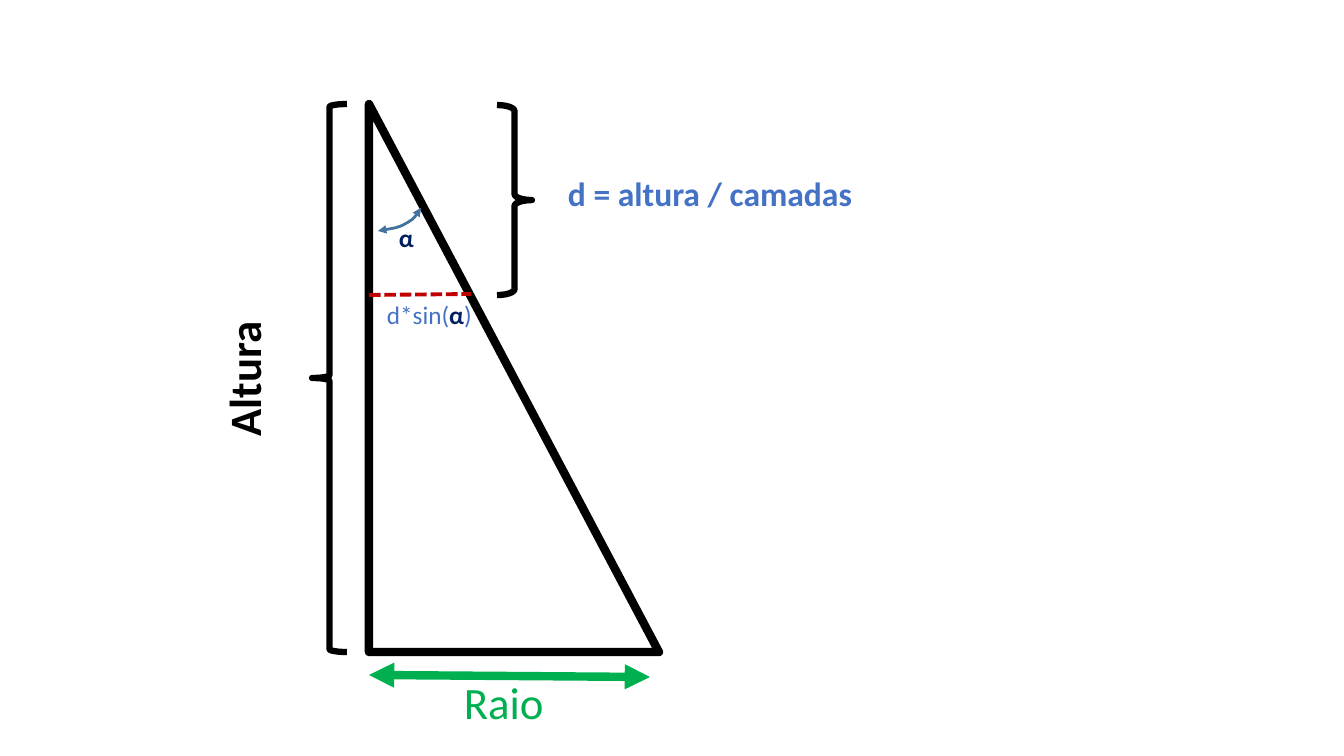
from pptx import Presentation
from pptx.dml.color import RGBColor
from pptx.enum.dml import MSO_LINE_DASH_STYLE as Dash
from pptx.enum.shapes import MSO_CONNECTOR as Connector, MSO_SHAPE as Shape
from pptx.enum.text import MSO_AUTO_SIZE as AutoSize
from pptx.oxml.ns import qn
from pptx.util import Emu, Pt
from lxml.etree import SubElement

SCALE = 914400 / 100.8
COLORS = {"black": "000000", "white": "FFFFFF", "green": "00B050",
          "blue": "4472C4", "navy": "002060", "red": "C00000", "steel": "43739E"}


def px(*lengths):
    """Turn pixels into EMU."""
    return [Emu(round(length * SCALE)) for length in lengths]


def rgb(name):
    """Look up a colour by name."""
    return RGBColor.from_string(COLORS[name])


def style_line(line, color, width, arrows=False):
    """Colour a line, set its width and optionally point both ends."""
    line.color.rgb = rgb(color)
    line.width = Pt(width)
    if arrows:
        for end in ("a:headEnd", "a:tailEnd"):
            SubElement(line._get_or_add_ln(), qn(end), type="triangle")


def add_outline(slide, kind, box, width, fill=None):
    """Add a black outlined preset shape in the box."""
    outline = slide.shapes.add_shape(kind, *px(*box))
    outline.shadow.inherit = False
    if fill:
        outline.fill.solid()
        outline.fill.fore_color.rgb = rgb(fill)
    else:
        outline.fill.background()
    style_line(outline.line, "black", width)
    return outline


def add_segment(slide, start, end, color, width, arrows=False):
    """Add a straight line without shadow."""
    segment = slide.shapes.add_connector(Connector.STRAIGHT, *px(*start, *end))
    SubElement(segment._element.spPr, qn("a:effectLst"))
    style_line(segment.line, color, width, arrows)
    return segment


def add_label(slide, box, size, runs, wrap=False):
    """Add one line of text made of (text, colour, bold) runs."""
    label = slide.shapes.add_textbox(*px(*box))
    frame_format = {"word_wrap": wrap, "auto_size": AutoSize.SHAPE_TO_FIT_TEXT}
    for name, value in frame_format.items():
        setattr(label.text_frame, name, value)
    for text, color, bold in runs:
        run = label.text_frame.paragraphs[0].add_run()
        run.text = text
        for name, value in {"name": "Calibri", "size": Pt(size), "bold": bold}.items():
            setattr(run.font, name, value)
        run.font.color.rgb = rgb(color)
    return label


def draw_triangle(slide, left, top, width, height):
    """Draw the right triangle with its radius arrow below."""
    add_outline(slide, Shape.RIGHT_TRIANGLE, (left, top, width, height), 6, "white")
    base = top + height
    add_segment(slide, (left, base + 23), (left + 281, base + 25), "green", 6, True)
    add_label(slide, (left + 85, base + 18, 101, 65), 32, [("Raio", "green", False)])


def draw_height(slide, left, top, width, height):
    """Draw the brace for the full height and its upright label."""
    add_outline(slide, Shape.LEFT_BRACE, (left, top, width, height), 4.5)
    label = add_label(slide, (left - 136, top + height // 2 - 32, 136, 65), 32,
                      [("Altura", "black", True)])
    label.rotation = 270


def draw_layer(slide, left, top, width, height):
    """Draw the layer's width line, its brace and their formulas."""
    base = top + height
    add_label(slide, (left + 8, base - 1, 136, 40), 18,
              [("d*sin(", "blue", False), ("α", "navy", True), (")", "blue", False)],
              wrap=True)
    edge = add_segment(slide, (left, base), (left + width, base - 1), "red", 2.75)
    edge.line.dash_style = Dash.SQUARE_DOT
    brace = add_outline(slide, Shape.LEFT_BRACE, (left + 128, top, 35, height), 4.5)
    brace.rotation = 180
    brace.adjustments[0] = 0.17
    add_label(slide, (left + 189, top + 63, 307, 50), 24,
              [("d = altura / camadas", "blue", True)])


def draw_angle(slide, left, top, width, height):
    """Draw the double-headed arc of the angle and its letter."""
    builder = slide.shapes.build_freeform(0, height, scale=SCALE)
    builder.add_line_segments([(10, 21), (20, 20), (27, 16), (34, 12), (37, 10),
                               (width, 0)], close=False)
    arc = builder.convert_to_shape(*px(left, top))
    arc.shadow.inherit = False
    arc.fill.background()
    style_line(arc.line, "steel", 2, True)
    steps = list(arc._element.iter(qn("a:lnTo")))
    for first in range(0, len(steps), 3):
        curve = SubElement(steps[first].getparent(), qn("a:cubicBezTo"))
        for step in steps[first:first + 3]:
            curve.append(step[0])
            step.getparent().remove(step)
    add_label(slide, (left + 11, top + 9, 35, 40), 18, [("α", "navy", True)])


deck = Presentation()
deck.slide_width, deck.slide_height = px(1344, 756)
cone = deck.slides.add_slide(deck.slide_layouts[6])
draw_triangle(cone, 369, 104, 290, 548)
draw_height(cone, 312, 104, 35, 548)
draw_layer(cone, 369, 105, 102, 190)
draw_angle(cone, 378, 208, 43, 23)
deck.save("out.pptx")
